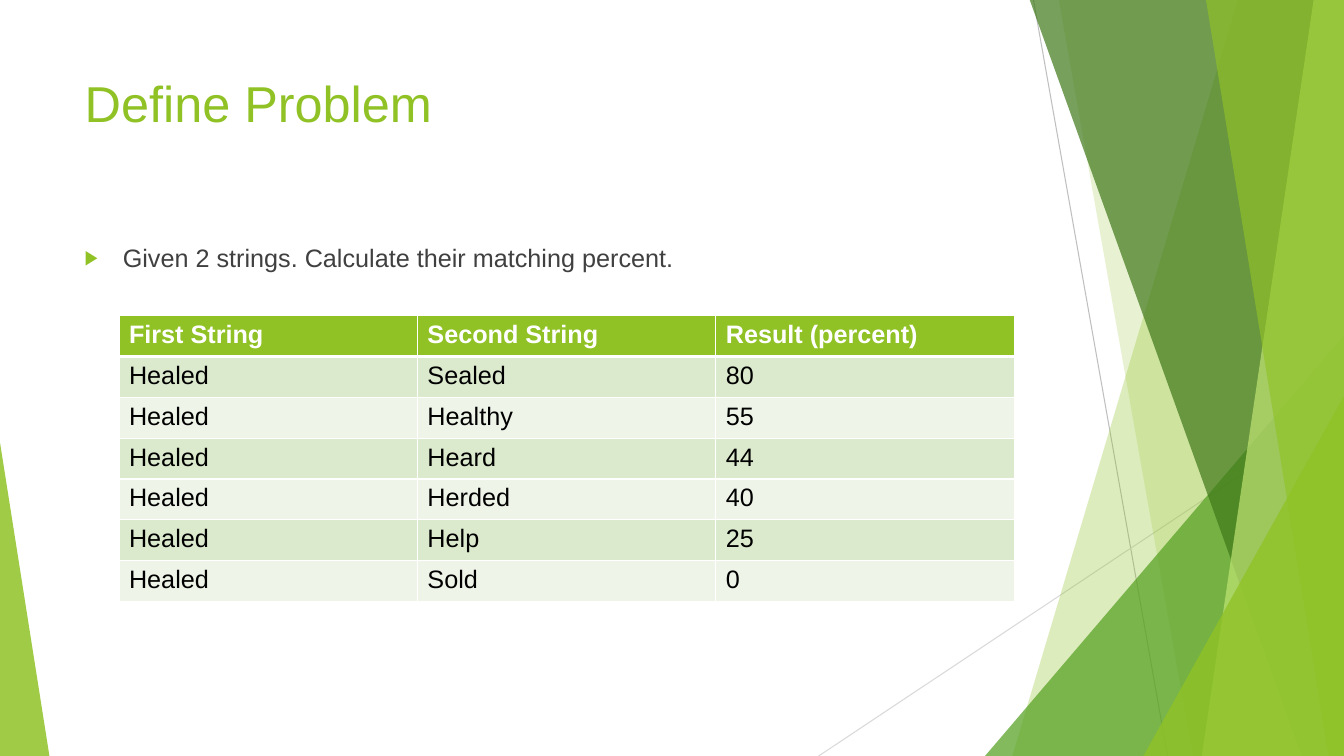
from lxml.etree import SubElement
from pptx import Presentation
from pptx.dml.color import RGBColor
from pptx.enum.shapes import MSO_CONNECTOR, MSO_SHAPE
from pptx.enum.text import MSO_ANCHOR, PP_ALIGN
from pptx.oxml.ns import qn
from pptx.util import Inches, Pt

LIME = RGBColor(0x90, 0xC2, 0x26)
GREEN = RGBColor(0x54, 0xA0, 0x21)
FOREST = RGBColor(0x3F, 0x78, 0x19)
PALE_LIME = RGBColor(0xC0, 0xE4, 0x74)
GREY = RGBColor(0xBF, 0xBF, 0xBF)
LIGHT_GREY = RGBColor(0xD9, 0xD9, 0xD9)
TEXT = RGBColor(0x40, 0x40, 0x40)
BLACK = RGBColor(0, 0, 0)
WHITE = RGBColor(0xFF, 0xFF, 0xFF)
BANDS = (RGBColor(0xDB, 0xE9, 0xCD), RGBColor(0xEE, 0xF4, 0xE8))
W, H, TOP = 13.33, 7.5, -0.01


def paint(sp, color, alpha):
    """Fill a shape with a see-through colour, without outline or shadow."""
    sp.shadow.inherit = False
    sp.line.fill.background()
    sp.fill.solid()
    sp.fill.fore_color.rgb = color
    clr = sp.fill._xPr.find(qn("a:solidFill"))[0]
    SubElement(clr, qn("a:alpha"), val=str(alpha * 1000))


def write(tf, text, **font):
    """Put one left-aligned Arial paragraph in a text frame and return it."""
    p = tf.paragraphs[0]
    p.alignment = PP_ALIGN.LEFT
    r = p.add_run()
    r.text = text
    r.font.name = "Arial"
    r.font.color.rgb = font.pop("color")
    for name, value in font.items():
        setattr(r.font, name, value)
    return p


prs = Presentation()
prs.slide_width, prs.slide_height = Inches(W), Inches(H)
s = prs.slides.add_slide(prs.slide_layouts[5])

# Thin lines behind the facets
for x1, y1, x2, y2, color in ((10.25, 0, 11.58, H, GREY),
                              (W, 4.03, 8.12, H, LIGHT_GREY)):
    line = s.shapes.add_connector(MSO_CONNECTOR.STRAIGHT, Inches(x1), Inches(y1),
                                  Inches(x2), Inches(y2))
    line.line.color.rgb = color
    line.line.width = Pt(0.75)
    SubElement(line.element.spPr, qn("a:effectLst"))

# Facets: a number pair gives the left edge's top and bottom x of a band that
# reaches the right side; a box gives a right-angled triangle and its apex
facets = (
    ((12.28, 10.04), None, LIME, 30),
    ((10.5, 11.83), None, LIME, 20),
    ((9.77, 3.33, 3.56, 4.17), 1, GREEN, 72),
    ((10.21, 12.91), None, FOREST, 70),
    ((13.03, 11.92), None, PALE_LIME, 70),
    ((11.96, 13.18), None, LIME, 65),
    ((11.34, 3.93, 1.99, 3.57), 1, LIME, 80),
    ((0, 4.39, 0.49, 3.11), 0, LIME, 85),
)
for place, apex, color, alpha in facets:
    if apex is None:
        x_top, x_bottom = place
        outline = s.shapes.build_freeform(Inches(x_top), Inches(TOP))
        outline.add_line_segments([(Inches(x), Inches(y)) for x, y in
                                   ((W, TOP), (W, H), (x_bottom, H))])
        sp = outline.convert_to_shape()
    else:
        sp = s.shapes.add_shape(MSO_SHAPE.ISOSCELES_TRIANGLE, *map(Inches, place))
        sp.adjustments[0] = apex
    paint(sp, color, alpha)

# Title, brought in front of the facets
title = s.shapes.title
title.left, title.top, title.width, title.height = map(Inches, (0.74, 0.67, 9.4, 1.44))
title.text_frame.vertical_anchor = MSO_ANCHOR.TOP
write(title.text_frame, "Define Problem", size=Pt(36), color=LIME)
title.element.getparent().append(title.element)

# Task statement
body = s.shapes.add_textbox(*map(Inches, (0.74, 2.36, 9.4, 4.24)))
body.text_frame.word_wrap = True
p = write(body.text_frame, "Given 2 strings. Calculate their matching percent.",
          size=Pt(18), color=TEXT)
p.space_before = Pt(10)
pPr = p._p.get_or_add_pPr()
pPr.set("marL", str(Inches(0.38)))
pPr.set("indent", str(-Inches(0.38)))
SubElement(SubElement(pPr, qn("a:buClr")), qn("a:srgbClr"), val=str(LIME))
SubElement(pPr, qn("a:buSzPct"), val="80000")
SubElement(pPr, qn("a:buFont"), typeface="Arial")
SubElement(pPr, qn("a:buChar"), char="▶")

# Table of examples
matches = (("Sealed", 80), ("Healthy", 55), ("Heard", 44),
           ("Herded", 40), ("Help", 25), ("Sold", 0))
rows = [("First String", "Second String", "Result (percent)")]
rows += [("Healed", second, str(percent)) for second, percent in matches]
table = s.shapes.add_table(len(rows), 3, *map(Inches, (1.18, 3.13, 8.88, 2.84))).table
for i, row in enumerate(rows):
    header = i == 0
    widths = {"L": 1, "R": 1, "T": 3 if i == 1 else 1, "B": 3 if header else 1}
    for j, text in enumerate(row):
        cell = table.cell(i, j)
        write(cell.text_frame, text, size=Pt(18), bold=header,
              color=WHITE if header else BLACK)
        tcPr = cell._tc.get_or_add_tcPr()
        for side, width in widths.items():
            ln = SubElement(tcPr, qn(f"a:ln{side}"), w=str(Pt(width)))
            SubElement(SubElement(ln, qn("a:solidFill")), qn("a:srgbClr"), val=str(WHITE))
        cell.fill.solid()
        cell.fill.fore_color.rgb = LIME if header else BANDS[(i - 1) % 2]

prs.save("out.pptx")
